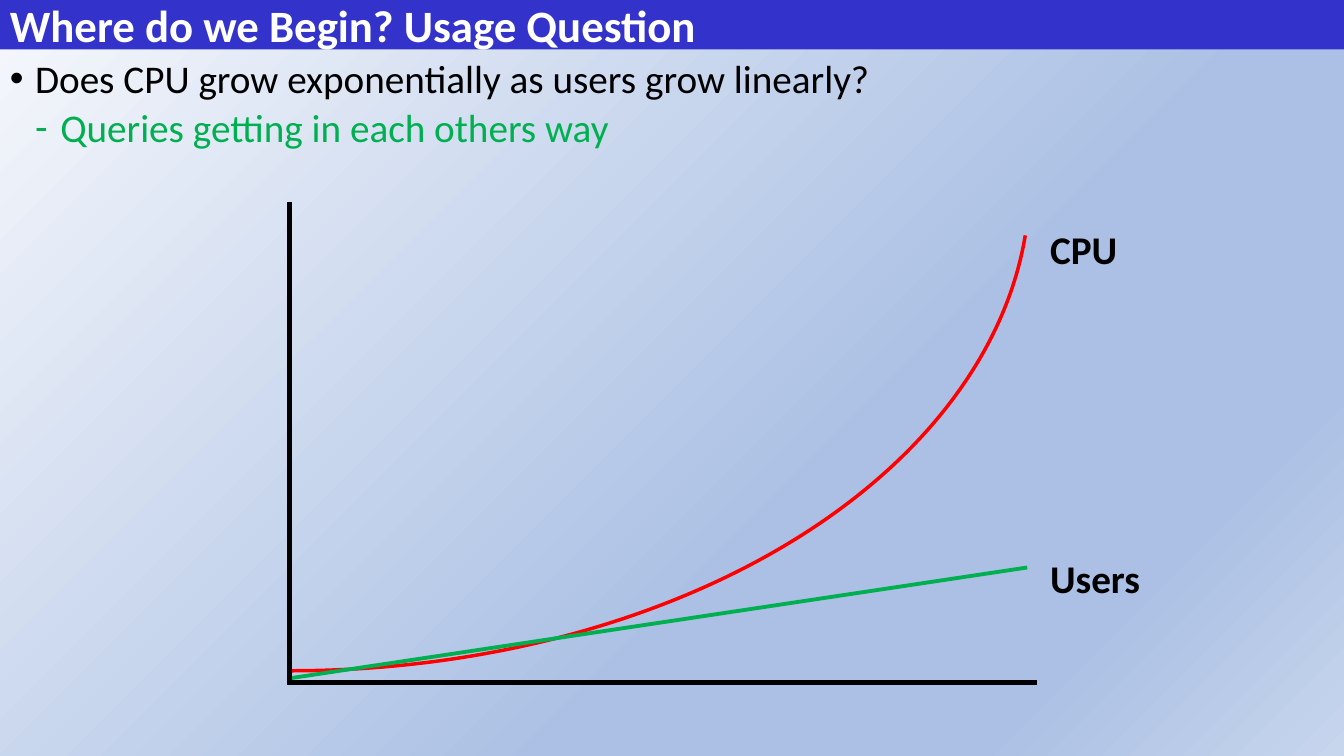
from lxml import etree
from pptx import Presentation
from pptx import util as u
from pptx.dml.color import RGBColor
from pptx.enum import shapes, text
from pptx.oxml import parse_xml
from pptx.oxml.ns import nsdecls, qn

COLORS = {"black": "000000", "white": "FFFFFF", "banner": "3333CC",
          "cpu": "FF0000", "users": "00B050"}
SKY = {0: "F6F8FC", 62: "ABC0E4", 82: "ABC0E4", 100: "C7D5ED"}

deck = Presentation()
deck.slide_width, deck.slide_height = u.Inches(13.333), u.Inches(7.5)
slide = deck.slides.add_slide(deck.slide_layouts[6])


def grid(*cells):
    sides = (deck.slide_width, deck.slide_height)
    return [round(cell * sides[i % 2] / 100) for i, cell in enumerate(cells)]


def write(frame, words, size=28, color="black", bold=False, bullet=None,
          level=0, before=0, spacing=None, first=True):
    line = frame.paragraphs[0] if first else frame.add_paragraph()
    line.alignment = text.PP_ALIGN.LEFT
    line.level = level
    line.space_before = u.Pt(before)
    if spacing:
        line.line_spacing = spacing
    if bullet:
        props = line._p.get_or_add_pPr()
        props.set("marL", str(u.Inches(0.25 * (level + 1))))
        props.set("indent", str(u.Inches(-0.25)))
        etree.SubElement(props, qn("a:buFont")).set("typeface", "Arial" if level == 0 else "Calibri")
        etree.SubElement(props, qn("a:buChar")).set("char", bullet)
    run = line.add_run()
    run.text = words
    run.font.name, run.font.size, run.font.bold = "Calibri", u.Pt(size), bold
    run.font.color.rgb = RGBColor.from_string(COLORS[color])


slide.background.fill.gradient()
stops = "".join(f'<a:gs pos="{at * 1000}"><a:srgbClr val="{shade}"/></a:gs>'
                for at, shade in SKY.items())
sky = parse_xml(
    f'<a:gradFill {nsdecls("a")} rotWithShape="1"><a:gsLst>{stops}</a:gsLst>'
    '<a:path path="circle"><a:fillToRect r="100000" b="100000"/></a:path></a:gradFill>')
plain = slide.element.find(".//" + qn("a:gradFill"))
plain.getparent().replace(plain, sky)

BANNER = 6.53
question = slide.shapes.add_textbox(*grid(0, BANNER, 100, 100 - BANNER)).text_frame
question.word_wrap = True
question.margin_top = question.margin_bottom = u.Inches(0.1)
write(question, "Does CPU grow exponentially as users grow linearly?",
      bullet="•", spacing=0.9)
write(question, "Queries getting in each others way", color="users",
      bullet="‐", level=1, before=5, spacing=0.9, first=False)

banner = slide.shapes.add_shape(shapes.MSO_SHAPE.RECTANGLE, *grid(0, 0, 100, BANNER))
banner.shadow.inherit = False
banner.fill.solid()
banner.fill.fore_color.rgb = RGBColor.from_string(COLORS["banner"])
banner.line.fill.background()
banner.text_frame.vertical_anchor = text.MSO_ANCHOR.MIDDLE
write(banner.text_frame, "Where do we Begin? Usage Question",
      size=32, color="white", bold=True)

graph = slide.shapes.add_group_shape().shapes
AXIS, LABELS = 21.53, 77.4

cpu = graph.add_shape(shapes.MSO_SHAPE.ARC, *grid(-14.7, -73.6, 72.75, 195.33))
cpu.shadow.inherit = False
cpu.rotation = 90
cpu.adjustments[0], cpu.adjustments[1] = 164.5, 0
cpu.fill.background()
cpu.line.color.rgb = RGBColor.from_string(COLORS["cpu"])
cpu.line.width = u.Pt(2.5)

for ends, color, width in [
    ((21.38, 90.27, 77.18, 90.27), "black", 4),
    ((AXIS, 89.73, 76.43, 75.07), "users", 2.75),
    ((AXIS, 26.67, AXIS, 90.13), "black", 4),
]:
    stroke = graph.add_connector(shapes.MSO_CONNECTOR.STRAIGHT, *grid(*ends))
    stroke.line.color.rgb = RGBColor.from_string(COLORS[color])
    stroke.line.width = u.Pt(width)
    etree.SubElement(stroke._element.spPr, qn("a:effectLst"))

for words, top, width in [("Users", 72.67, 8.25), ("CPU", 29.2, 6.6)]:
    label = graph.add_textbox(*grid(LABELS, top, width, 7.6)).text_frame
    label.word_wrap = False
    label.auto_size = text.MSO_AUTO_SIZE.SHAPE_TO_FIT_TEXT
    write(label, words, bold=True)

deck.save("out.pptx")
